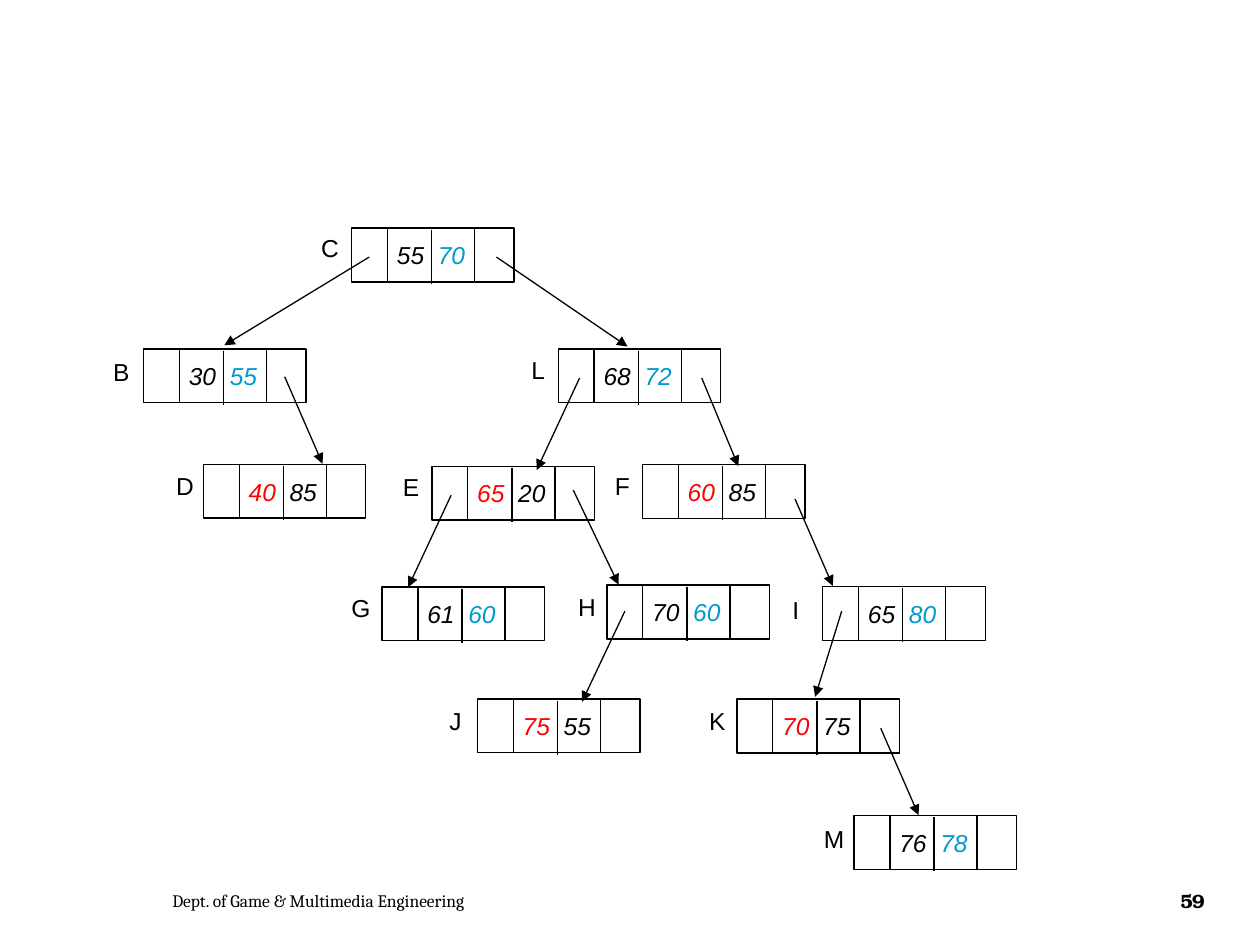
import pptx
import pptx.util
import pptx.dml.color
import pptx.enum.shapes
import pptx.enum.text
import pptx.oxml.ns
import lxml.etree

Pt = pptx.util.Pt
SHAPE = pptx.enum.shapes.MSO_SHAPE
ALIGN = pptx.enum.text.PP_ALIGN
MIDDLE = pptx.enum.text.MSO_ANCHOR.MIDDLE
INK = {"black": "000000", "red": "FF0000", "blue": "0099CC"}

# name: node left, node top, label left, label top, label width, keys
NODES = {
    "C": (200.9, 130.3, 176.4, 129.6, 24.5, ("55", "black"), ("70", "blue")),
    "B": (82, 199.4, 57.6, 200.2, 23.8, ("30", "black"), ("55", "blue")),
    "L": (319, 199.4, 296.6, 199.4, 22.3, ("68", "black"), ("72", "blue")),
    "D": (116.2, 265.3, 93.6, 265.7, 24.5, ("40", "red"), ("85", "black")),
    "E": (246.8, 266.4, 223.2, 266.4, 23.8, ("65", "red"), ("20", "black")),
    "F": (367.1, 265.5, 344.2, 265.7, 23, ("60", "red"), ("85", "black")),
    "G": (218.3, 335.4, 193.7, 335.5, 25.2, ("61", "black"), ("60", "blue")),
    "H": (346.8, 334.3, 323.3, 334.8, 24.5, ("70", "black"), ("60", "blue")),
    "I": (470.1, 335.1, 445.7, 336.2, 18.7, ("65", "black"), ("80", "blue")),
    "J": (272.8, 399.4, 249.8, 399.6, 21.6, ("75", "red"), ("55", "black")),
    "K": (421.1, 399.5, 398.2, 399.6, 23.8, ("70", "red"), ("75", "black")),
    "M": (488, 466, 463.7, 467.3, 26, ("76", "black"), ("78", "blue")),
}
ARROWS = [
    (211, 146.9, 128.2, 197.3), (283.7, 146.9, 358.6, 198),
    (162.7, 215.3, 184.3, 265), (331.2, 216, 306.7, 268.6),
    (401, 216, 421.9, 266.4), (257.8, 283, 233.3, 335.5),
    (327.6, 280.1, 353.5, 334.1), (454.3, 285.1, 475.9, 334.8),
    (357.1, 349.2, 332.6, 401), (481, 349.2, 465.8, 398.2),
    (503.3, 416.2, 524.9, 465.8),
]
FOOT = [
    (91.4, 330.5, "Dept. of Game & Multimedia Engineering", 10, "Cambria", False, ALIGN.LEFT),
    (662.4, 38.2, "59", 11, "TeX Gyre Bonum", True, ALIGN.CENTER),
]
WIDE, HIGH = 92.9, 30.8
CELL, CELL_W = 20.5, 49.8
SPLIT, DROP = 45.8, 1

deck = pptx.Presentation()
deck.slide_width, deck.slide_height = Pt(720), Pt(540)
slide = deck.slides.add_slide(deck.slide_layouts[6])


def paint(name):
    return pptx.dml.color.RGBColor.from_string(INK[name])


def write(para, text, size=14, face="Arial", ink="black"):
    run = para.add_run()
    run.text = text
    run.font.size, run.font.name = Pt(size), face
    run.font.color.rgb = paint(ink)
    return run


def space(run, gap):
    run._r.get_or_add_rPr().set("spc", str(gap))


def line(x1, y1, x2, y2, head=False):
    link = slide.shapes.add_connector(
        pptx.enum.shapes.MSO_CONNECTOR.STRAIGHT, Pt(x1), Pt(y1), Pt(x2), Pt(y2))
    link.line.color.rgb, link.line.width = paint("black"), Pt(0.75)
    qn = pptx.oxml.ns.qn
    if head:
        lxml.etree.SubElement(link.line._get_or_add_ln(), qn("a:tailEnd"), type="triangle")
    lxml.etree.SubElement(link._element.spPr, qn("a:effectLst"))


def rect(x, y, w):
    box = slide.shapes.add_shape(SHAPE.RECTANGLE, Pt(x), Pt(y), Pt(w), Pt(HIGH))
    box.shadow.inherit = False
    box.fill.background()
    box.line.color.rgb, box.line.width = paint("black"), Pt(0.75)
    return box


def node(name, x, y, tag_x, tag_y, tag_w, *keys):
    rect(x, y, WIDE)
    frame = rect(x + CELL, y, CELL_W).text_frame
    frame.word_wrap, frame.vertical_anchor = False, MIDDLE
    para = frame.paragraphs[0]
    para.alignment = ALIGN.CENTER
    (left, ink), (right, tint) = keys
    write(para, left, ink=ink).font.italic = True
    space(write(para, " "), 389)
    write(para, right, ink=tint).font.italic = True
    line(x + SPLIT, y + DROP, x + SPLIT, y + DROP + HIGH)
    tag = slide.shapes.add_textbox(Pt(tag_x), Pt(tag_y), Pt(tag_w), Pt(24))
    tag.text_frame.word_wrap = False
    tag.text_frame.auto_size = pptx.enum.text.MSO_AUTO_SIZE.SHAPE_TO_FIT_TEXT
    write(tag.text_frame.paragraphs[0], name)


for name, row in NODES.items():
    node(name, *row)
for ends in ARROWS:
    line(*ends, head=True)
for x, w, text, size, face, bold, align in FOOT:
    frame = slide.shapes.add_textbox(Pt(x), Pt(500.4), Pt(w), Pt(28.8)).text_frame
    frame.word_wrap, frame.vertical_anchor = True, MIDDLE
    para = frame.paragraphs[0]
    para.alignment = align
    run = write(para, text, size, face)
    run.font.bold = bold
    if bold:
        space(run, -70)

deck.save("out.pptx")
